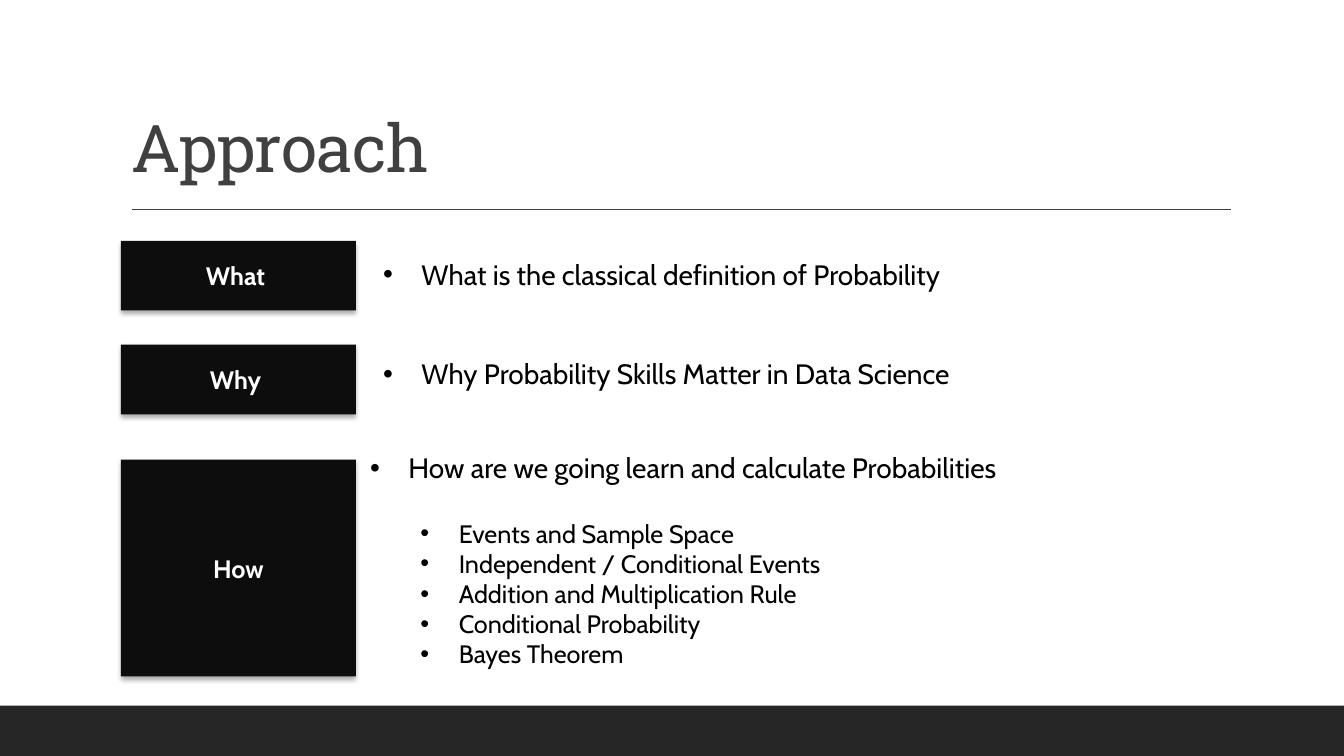
from dataclasses import dataclass

from lxml.etree import SubElement as Sub
from pptx import Presentation
from pptx.dml.color import RGBColor as Rgb
from pptx.enum.shapes import MSO_CONNECTOR as Link, MSO_SHAPE as Form
from pptx.enum.text import MSO_ANCHOR as Anchor, MSO_AUTO_SIZE as Fit, PP_ALIGN as Align
from pptx.oxml.ns import qn
from pptx.shapes.autoshape import Shape
from pptx.slide import Slide
from pptx.text.text import Font, _Paragraph as Para
from pptx.util import Emu, Pt

SCALE = 9144
LEFT, WIDE = 120, 233
INK, NIGHT, SLATE, GREY, WHITE = "000000", "0D0D0D", "262626", "404040", "FFFFFF"
HEAD, BODY = "Roboto Slab", "Cabin"


@dataclass
class Box:
    x: int
    y: int
    w: int
    h: int


@dataclass
class Topic:
    label: str
    tile: Box
    area: Box
    lead: str
    points: tuple[str, ...] = ()


TOPICS = (
    Topic("What ", Box(LEFT, 239, WIDE, 69), Box(370, 250, 675, 44),
          "What is the classical definition of Probability"),
    Topic("Why ", Box(LEFT, 342, WIDE, 69), Box(370, 349, 869, 44),
          "Why Probability Skills Matter in Data Science"),
    Topic("How", Box(LEFT, 456, WIDE, 215), Box(357, 442, 944, 229),
          "How are we going learn and calculate Probabilities",
          ("Events and Sample Space", "Independent / Conditional Events",
           "Addition and Multiplication Rule", "Conditional Probability",
           "Bayes Theorem")),
)


def px(count: int) -> Emu:
    return Emu(count * SCALE)


def paint(hue: str) -> Rgb:
    return Rgb.from_string(hue)


def place(shape: Shape, box: Box) -> None:
    shape.left, shape.top = px(box.x), px(box.y)
    shape.width, shape.height = px(box.w), px(box.h)


def style(font: Font, name: str, size: int, hue: str, bold: bool = False) -> None:
    font.name, font.size, font.bold = name, Pt(size), bold
    font.color.rgb = paint(hue)


def block(slide: Slide, box: Box, hue: str) -> Shape:
    shape = slide.shapes.add_shape(
        Form.RECTANGLE, px(box.x), px(box.y), px(box.w), px(box.h))
    shape.fill.solid()
    shape.fill.fore_color.rgb = paint(hue)
    shape.line.fill.background()
    shape.shadow.inherit = False
    return shape


def shade(shape: Shape) -> None:
    effects = shape._element.spPr.find(qn("a:effectLst"))
    cast = Sub(effects, qn("a:outerShdw"), blurRad=str(Pt(3.5)), dist=str(Pt(2.2)),
               dir="5400000", algn="ctr", rotWithShape="0")
    tint = Sub(cast, qn("a:srgbClr"), val=INK)
    Sub(tint, qn("a:alpha"), val="32000")


def tile(slide: Slide, topic: Topic) -> None:
    shape = block(slide, topic.tile, NIGHT)
    shade(shape)
    frame = shape.text_frame
    frame.vertical_anchor = Anchor.MIDDLE
    line = frame.paragraphs[0]
    line.text, line.alignment = topic.label, Align.CENTER
    style(line.font, BODY, 18, WHITE, True)


def bullet(line: Para, text: str, level: int, size: int) -> None:
    line.text, line.level = text, level
    props = line._p.get_or_add_pPr()
    props.set("marL", str(px(38 + 50 * level)))
    props.set("indent", str(px(-38)))
    Sub(props, qn("a:buFont"), typeface="Arial")
    Sub(props, qn("a:buChar"), char="•")
    line.space_before = Pt(0)
    style(line.font, BODY, size, INK)


def fill(shape: Shape, topic: Topic) -> None:
    place(shape, topic.area)
    frame = shape.text_frame
    frame.word_wrap, frame.auto_size = True, Fit.SHAPE_TO_FIT_TEXT
    frame.vertical_anchor = Anchor.TOP
    bullet(frame.paragraphs[0], topic.lead, 0, 20)
    for rank, point in enumerate(topic.points):
        line = frame.add_paragraph()
        bullet(line, point, 1, 18)
        if rank == 0:
            line.space_before = Pt(24)


def title(shape: Shape) -> None:
    place(shape, Box(LEFT, 31, 1100, 159))
    frame = shape.text_frame
    frame.auto_size, frame.vertical_anchor = Fit.NONE, Anchor.BOTTOM
    line = frame.paragraphs[0]
    line.text, line.alignment, line.line_spacing = "Approach", Align.LEFT, 0.9
    style(line.font, HEAD, 47, GREY)
    line._p.get_or_add_pPr().get_or_add_defRPr().set("spc", "-50")


def rule(slide: Slide) -> None:
    line = slide.shapes.add_connector(
        Link.STRAIGHT, px(131), px(208), px(1221), px(208))
    line.line.color.rgb, line.line.width = paint(GREY), Pt(1)
    Sub(line._element.spPr, qn("a:effectLst"))


def main() -> None:
    deck = Presentation()
    deck.slide_width, deck.slide_height = px(1333), px(750)
    slide = deck.slides.add_slide(deck.slide_layouts.get_by_name("Comparison"))
    head, *lists, spare = slide.placeholders
    spare._element.getparent().remove(spare._element)
    block(slide, Box(0, 700, 1333, 50), SLATE)
    rule(slide)
    title(head)
    for shape, topic in zip(lists, TOPICS):
        tile(slide, topic)
        fill(shape, topic)
    deck.save("out.pptx")


if __name__ == "__main__":
    main()
